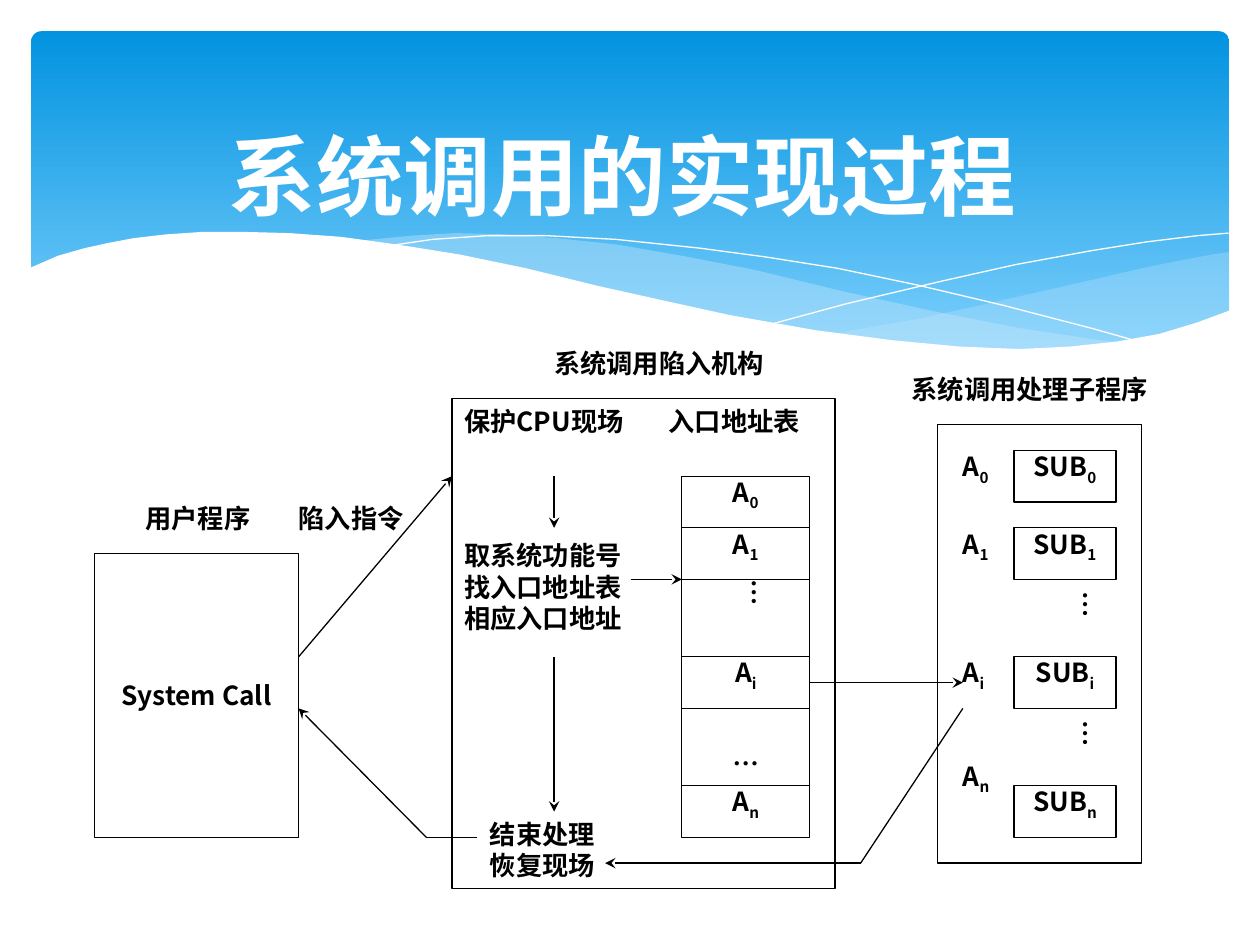
"""Build the slide that shows how a system call is carried out."""
from dataclasses import dataclass

from lxml.etree import SubElement
from pptx import Presentation
from pptx.dml.color import RGBColor
from pptx.enum.shapes import MSO_CONNECTOR, MSO_SHAPE
from pptx.enum.text import MSO_ANCHOR, PP_ALIGN
from pptx.oxml.ns import qn
from pptx.util import Cm, Pt


@dataclass(frozen=True)
class Theme:
    black: RGBColor = RGBColor(0x00, 0x00, 0x00)
    white: RGBColor = RGBColor(0xFF, 0xFF, 0xFF)
    sky_top: RGBColor = RGBColor(0x02, 0x93, 0xE0)
    sky_bottom: RGBColor = RGBColor(0x83, 0xD3, 0xFE)
    mist: RGBColor = RGBColor(0xC6, 0xE7, 0xFC)
    cjk: str = "Noto Sans CJK SC"
    serif: str = "Times New Roman"
    title: Pt = Pt(50)
    body: Pt = Pt(15)
    outline: Pt = Pt(0.75)


theme = Theme()
prs = Presentation()
prs.slide_width, prs.slide_height = Cm(25.4), Cm(19.05)
s = prs.slides.add_slide(prs.slide_layouts[6])


def grid(x, y):
    return Cm(1.9 + 0.515 * x), Cm(7 + 0.52 * y)


def put(text, x, y, w, h, boxed=False, centred=False, insets=(0, 0, 0, 0),
        font=theme.cjk, vertical=False, anchor=MSO_ANCHOR.TOP):
    left, top = grid(x, y)
    right, bottom = grid(x + w, y + h)
    area = left, top, right - left, bottom - top
    if boxed:
        sp = s.shapes.add_shape(MSO_SHAPE.RECTANGLE, *area)
        sp.shadow.inherit = False
        sp.fill.background()
        sp.line.color.rgb, sp.line.width = theme.black, theme.outline
    else:
        sp = s.shapes.add_textbox(*area)
    tf = sp.text_frame
    tf.word_wrap, tf.vertical_anchor = True, anchor
    tf.margin_left, tf.margin_top, tf.margin_right, tf.margin_bottom = map(Cm, insets)
    if vertical:
        tf._txBody.bodyPr.set("vert", "eaVert")
    for i, line in enumerate(text.split("\n")):
        p = tf.paragraphs[0] if i == 0 else tf.add_paragraph()
        p.alignment = PP_ALIGN.CENTER if centred else PP_ALIGN.LEFT
        base, _, index = line.partition("_")
        for part in filter(None, (base, index)):
            r = p.add_run()
            r.text = part
            r.font.name, r.font.size, r.font.bold = font, theme.body, True
            r.font.color.rgb = theme.black
            SubElement(r._r.rPr, qn("a:ea")).set("typeface", theme.cjk)
            if part is index:
                r._r.rPr.set("baseline", "-25000")
    return sp


sky = s.shapes.add_shape(MSO_SHAPE.ROUNDED_RECTANGLE, Cm(0.63), Cm(0.63), Cm(24.15), Cm(6.86))
sky.adjustments[0] = 0.03
sky.shadow.inherit = False
sky.line.fill.background()
sky.fill.gradient()
sky.fill.gradient_angle = 270
for stop, color in zip(sky.fill.gradient_stops, (theme.sky_top, theme.sky_bottom)):
    stop.color.rgb = color

right_mist = [(976, 200), (962, 202), (935, 207), (906, 213), (876, 220), (832, 230), (779, 242),
              (729, 253), (661, 265), (691, 269), (732, 274), (769, 277), (814, 278), (854, 276),
              (889, 272), (921, 265), (949, 257), (976, 247)]
long_mist = [(893, 273), (866, 269), (807, 260), (741, 247), (668, 231), (598, 214), (541, 203),
             (489, 194), (441, 189), (399, 186), (361, 185), (328, 187), (286, 191), (342, 199),
             (404, 211), (491, 232), (566, 248), (634, 261), (695, 270), (748, 276), (807, 279),
             (857, 277), (893, 273)]
falling_line = [(309, 195), (343, 190), (387, 187), (433, 187), (489, 190), (556, 197), (608, 204),
                (665, 213), (727, 226), (795, 242), (868, 261), (907, 272)]
rising_line = [(613, 257), (672, 241), (748, 223), (806, 210), (866, 199), (910, 192), (951, 187),
               (975, 185)]
ground = [(977, 246), (950, 256), (920, 265), (887, 271), (850, 275), (809, 277), (761, 275),
          (708, 270), (647, 262), (579, 250), (529, 239), (475, 227), (418, 213), (365, 202),
          (315, 194), (271, 188), (230, 185), (193, 184), (161, 184), (132, 186), (106, 189),
          (85, 193), (67, 197), (46, 203), (23, 213), (23, 329), (977, 329)]
for points, color, alpha in ((right_mist, theme.mist, 29), (long_mist, theme.mist, 40),
                             (falling_line, None, 0), (rising_line, None, 0),
                             (ground, theme.white, 100)):
    fb = s.shapes.build_freeform(*points[0], scale=Cm(1) / 39.37)
    fb.add_line_segments(points[1:], close=color is not None)
    wave = fb.convert_to_shape()
    wave.shadow.inherit = False
    if color is None:
        wave.fill.background()
        wave.line.color.rgb, wave.line.width = theme.white, Pt(0)
    else:
        wave.line.fill.background()
        wave.fill.solid()
        wave.fill.fore_color.rgb = color
        fill = wave._element.spPr.find(qn("a:solidFill"))
        SubElement(fill[0], qn("a:alpha")).set("val", str(alpha * 1000))

title = s.shapes.add_textbox(Cm(1.22), Cm(2.34), Cm(22.68), Cm(2.36))
tf = title.text_frame
tf.word_wrap, tf.vertical_anchor = True, MSO_ANCHOR.MIDDLE
tf.text = "系统调用的实现过程"
p = tf.paragraphs[0]
p.alignment = PP_ALIGN.CENTER
r = p.runs[0]
r.font.name, r.font.size, r.font.bold = theme.serif, theme.title, True
r.font.color.rgb = theme.white
SubElement(r._r.rPr, qn("a:ea")).set("typeface", theme.cjk)

put("System Call", 0, 8, 8, 11, boxed=True, centred=True, anchor=MSO_ANCHOR.MIDDLE)
put("", 14, 2, 15, 19, boxed=True)
put("", 33, 3, 8, 17, boxed=True)
for text, x, y, w in (("用户程序", 2, 6, 5), ("陷入指令", 8, 6, 5),
                      ("系统调用陷入机构", 18, 0, 9), ("系统调用处理子程序", 32, 1, 10)):
    put(text, x, y, w, 2)

padding = (0.25, 0.13, 0.25, 0.13)
save_state = put("保护CPU现场", 14, 2, 8, 3, insets=padding)
put("入口地址表", 22, 2, 7, 3, insets=padding)
put("取系统功能号\n找入口地址表\n相应入口地址", 14, 6, 8, 7, insets=(0.25, 0.76, 0.25, 0.13))
finish = put("结束处理\n恢复现场", 15, 18, 6, 3, insets=padding)

entries, labels = {}, {}
for index, entry_y, label_y, sub_y in (("0", 5, 4, 4), ("1", 7, 7, 7),
                                       ("i", 12, 12, 12), ("n", 17, 16, 17)):
    entries[index] = put(f"A_{index}", 23, entry_y, 5, 2, boxed=True, centred=True)
    labels[index] = put(f"A_{index}", 34, label_y, 2, 2)
    put(f"SUB_{index}", 36, sub_y, 4, 2, boxed=True, centred=True)
put("…", 23, 9, 5, 3, boxed=True, centred=True, insets=(0, 0, 0.63, 0),
    font=theme.serif, vertical=True)
put("…", 23, 14, 5, 3, boxed=True, centred=True, insets=(0, 0.63, 0, 0), font=theme.serif)
for y in (9, 14):
    put("…", 36, y, 4, 3, insets=(0.13, 0.25, 0.13, 0.25), font=theme.serif, vertical=True)

for start, end, arrow, source, target in (
        ((18, 5), (18, 7), True, (save_state, 2), None),
        ((18, 12), (18, 18), True, None, (finish, 0)),
        ((21, 9), (23, 9), True, None, None),
        ((15, 19), (13, 19), False, None, None),
        ((13, 19), (8, 14), True, None, None),
        ((8, 12), (14, 5), True, None, None),
        ((28, 13), (34, 13), True, (entries["i"], 3), (labels["i"], 1)),
        ((34, 14), (30, 20), False, None, None),
        ((30, 20), (20, 20), True, None, None)):
    link = s.shapes.add_connector(MSO_CONNECTOR.STRAIGHT, *grid(*start), *grid(*end))
    link.line.color.rgb, link.line.width = theme.black, theme.outline
    if source:
        link.begin_connect(*source)
    if target:
        link.end_connect(*target)
    if arrow:
        SubElement(link.line._get_or_add_ln(), qn("a:tailEnd")).set("type", "stealth")
    SubElement(link._element.spPr, qn("a:effectLst"))

prs.save("out.pptx")
